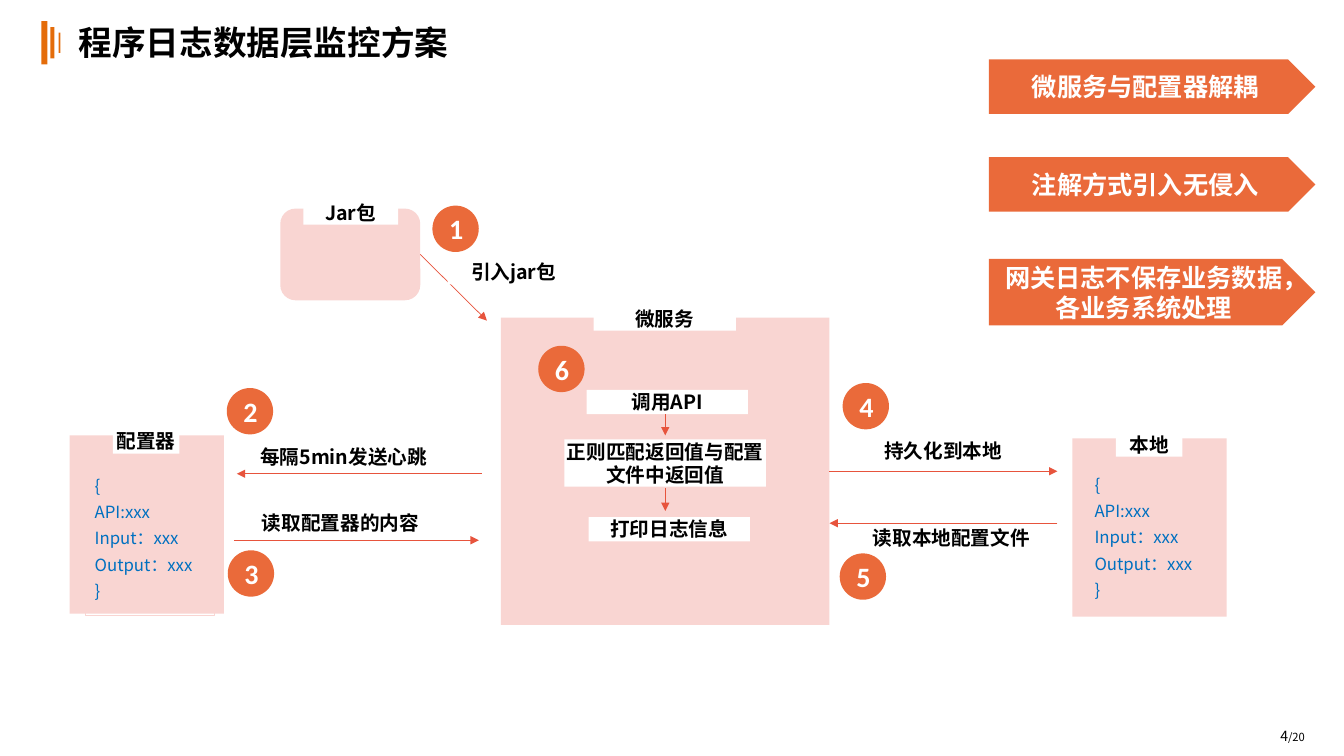
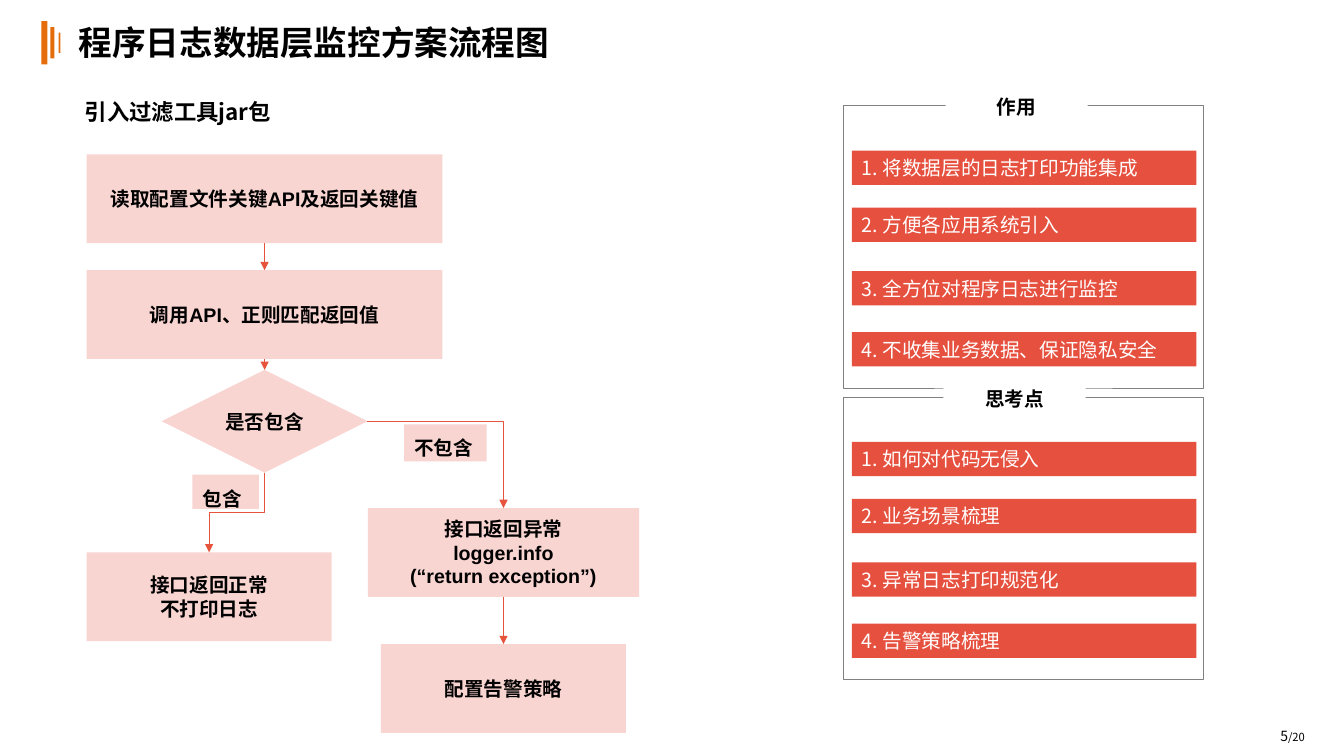
from lxml.etree import SubElement
from pptx import Presentation
from pptx.dml.color import RGBColor
from pptx.enum.shapes import MSO_CONNECTOR, MSO_SHAPE
from pptx.enum.text import MSO_ANCHOR, MSO_AUTO_SIZE, PP_ALIGN
from pptx.oxml.ns import qn
from pptx.util import Pt

COLORS = {
    "accent": "E46C0A",
    "orange": "EA6A3A",
    "pink": "F9D5D2",
    "red": "E6503E",
    "arrow": "E7543D",
    "gray": "808080",
    "blue": "0070C0",
    "black": "000000",
    "white": "FFFFFF",
}
CJK = "Noto Sans CJK SC"
LABEL_HEIGHT = 17.3
BADGE_SIZE = 33.1
PAGE_TOTAL = 20


def color(name):
    return RGBColor.from_string(COLORS[name])


class Deck:
    """Holds the shared style and the slide being built; lengths are points."""

    def __init__(self):
        self.deck = Presentation()
        self.deck.slide_width, self.deck.slide_height = Pt(960), Pt(540)
        self.page = None

    def start_page(self, title, number):
        self.page = self.deck.slides.add_slide(self.deck.slide_layouts[5])
        for left, width, height in ((29.5, 4.3, 31), (36, 2.9, 22.3), (41.8, 1.4, 14.4)):
            self.box((left, 30.6 - height / 2, width, height), "accent")
        heading = self.page.shapes.title
        heading.left, heading.top, heading.width, heading.height = map(
            Pt, (49, 15.1, 854, 33.1))
        self.set_text(heading, title, size=24, align=PP_ALIGN.LEFT, spacing=0.9)
        footer = self.text_box((892, 514.8, 62.6, 21.6), str(number), size=10, bold=False)
        total = footer.text_frame.paragraphs[0].add_run()
        total.text = f"/{PAGE_TOTAL}"
        self.style(total, CJK, 8, "black", False)

    def style(self, span, font, size, ink, bold):
        span.font.name, span.font.size, span.font.bold = font, Pt(size), bold
        span.font.color.rgb = color(ink)
        SubElement(span._r.get_or_add_rPr(), qn("a:ea"), typeface=CJK)

    def set_text(self, shape, text, font=CJK, size=14, ink="black", bold=True,
                 align=PP_ALIGN.CENTER, anchor=MSO_ANCHOR.MIDDLE, spacing=None, margin=None):
        frame = shape.text_frame
        frame.text = text
        frame.word_wrap = True
        frame.auto_size = MSO_AUTO_SIZE.NONE
        frame.vertical_anchor = anchor
        if margin is not None:
            frame.margin_left = frame.margin_right = Pt(margin)
            frame.margin_top = frame.margin_bottom = Pt(margin)
        for para in frame.paragraphs:
            para.alignment = align
            if spacing:
                para.line_spacing = spacing
            for span in para.runs:
                self.style(span, font, size, ink, bold)

    def box(self, bounds, fill=None, text=None, kind=MSO_SHAPE.RECTANGLE,
            line=None, line_width=0.5, **style):
        shape = self.page.shapes.add_shape(kind, *map(Pt, bounds))
        shape.shadow.inherit = False
        if fill:
            shape.fill.solid()
            shape.fill.fore_color.rgb = color(fill)
        else:
            shape.fill.background()
        if line:
            shape.line.color.rgb = color(line)
            shape.line.width = Pt(line_width)
        else:
            shape.line.fill.background()
        if text:
            self.set_text(shape, text, **style)
        return shape

    def text_box(self, bounds, text, **style):
        shape = self.page.shapes.add_textbox(*map(Pt, bounds))
        self.set_text(shape, text, **style)
        return shape

    def label(self, left, top, width, text, height=LABEL_HEIGHT):
        return self.box((left, top, width, height), "white", text,
                        anchor=MSO_ANCHOR.TOP, margin=0)

    def badge(self, left, top, number):
        self.box((left, top, BADGE_SIZE, BADGE_SIZE), "orange", str(number),
                 MSO_SHAPE.OVAL, font="Calibri", size=20, ink="white")

    def config_panel(self, left, top, name, code_left, code_top):
        self.box((left, top, 110.2, 127.4), "pink")
        self.label(left + 31, top - 4.3, 47.5, name)
        self.box((code_left, code_top, 92.2, 107.3), None,
                 "{\nAPI:xxx\nInput：xxx\nOutput：xxx\n}", line="pink", line_width=0.25,
                 size=12, ink="blue", bold=False, align=PP_ALIGN.LEFT,
                 anchor=MSO_ANCHOR.TOP, spacing=1.3)

    def list_panel(self, top, name, label_left, items):
        self.box((602.6, top, 257, 201.6), "white", line="gray")
        self.label(label_left, top - 7.5, 101.5, name)
        for number, (offset, item) in enumerate(zip((32, 72.7, 118, 161.7), items), 1):
            self.box((608.4, top + offset, 246.2, 24.5), "red", f"{number}. {item}",
                     ink="white", bold=False, align=PP_ALIGN.LEFT)

    def flow_box(self, left, top, width, text):
        return self.box((left, top, width, 63.4), "pink", text, font="Arial")

    def branch_label(self, bounds, text):
        self.box(bounds, "pink", text, font="Arial", align=PP_ALIGN.LEFT,
                 anchor=MSO_ANCHOR.TOP, spacing=1.3)

    def arrow(self, start, end, kind=MSO_CONNECTOR.STRAIGHT, source=None, target=None):
        """Draw an arrow; source and target are (shape, side) pairs to join."""
        line = self.page.shapes.add_connector(kind, *map(Pt, (*start, *end)))
        if source:
            line.begin_connect(*source)
        if target:
            line.end_connect(*target)
        line.line.color.rgb = color("arrow")
        line.line.width = Pt(0.5)
        properties = line._element.spPr
        SubElement(properties.find(qn("a:ln")), qn("a:tailEnd"), type="triangle")
        SubElement(properties, qn("a:effectLst"))
        return line

    def arrow_down(self, upper, lower):
        self.arrow((0, 0), (0, 0), source=(upper, 2), target=(lower, 0))

    def elbow_down_left(self, start, end):
        """Leave downwards, cross to the left, then go down: a turned elbow."""
        middle_x, middle_y = (start[0] + end[0]) / 2, (start[1] + end[1]) / 2
        half_run, half_rise = (end[1] - start[1]) / 2, (start[0] - end[0]) / 2
        line = self.arrow((middle_x - half_run, middle_y - half_rise),
                          (middle_x + half_run, middle_y + half_rise), MSO_CONNECTOR.ELBOW)
        line._element.spPr.find(qn("a:xfrm")).set("rot", "5400000")

    def elbow_right_down(self, start, end):
        line = self.arrow(start, end, MSO_CONNECTOR.ELBOW)
        line._element.spPr.find(qn("a:prstGeom")).set("prst", "bentConnector2")


def build_architecture(deck):
    deck.start_page("程序日志数据层监控方案", 4)
    service = deck.box((357.8, 226.8, 234.7, 219.6), "pink")
    deck.label(424.1, 218.9, 101.5, "微服务")
    deck.config_panel(766.1, 313.2, "本地", 774.7, 331.2)
    deck.config_panel(49.7, 311, "配置器", 60.5, 331.9)
    jar = deck.box((200.2, 149, 100, 65.5), "pink", kind=MSO_SHAPE.ROUNDED_RECTANGLE)
    deck.label(216.7, 143.3, 67.7, "Jar包")

    deck.arrow((300.2, 181.7), (347.8, 229), source=(jar, 3))
    deck.arrow((592.5, 336.6), (755.3, 336.6), source=(service, 3))
    for start, end in (
        ((344.2, 338.4), (169.2, 338.4)),
        ((167, 385.9), (342, 385.9)),
        ((755.3, 373.7), (592.5, 373.7)),
    ):
        deck.arrow(start, end)
    for left, top, width, text in (
        (319.7, 185.8, 94.3, "引入jar包"),
        (169.2, 317.5, 152.6, "每隔5min发送心跳"),
        (167, 365, 152.6, "读取配置器的内容"),
        (622, 313.2, 103.7, "持久化到本地"),
        (622, 375.8, 115.2, "读取本地配置文件"),
        (419, 278.6, 115.2, "调用API"),
        (420.5, 369.4, 115.2, "打印日志信息"),
    ):
        deck.label(left, top, width, text)
    deck.label(403.2, 313.9, 144, "正则匹配返回值与配置文件中返回值", 33.8)
    for top, bottom in ((295.9, 311), (348.5, 365)):
        deck.arrow((475.2, top), (475.2, bottom))

    badges = ((308.9, 146.9), (162, 277.2), (162.7, 393.1),
              (601.9, 273.6), (599.8, 395.3), (384.5, 247))
    for number, (left, top) in enumerate(badges, 1):
        deck.badge(left, top, number)
    for top, height, text in (
        (42.5, 38.9, "微服务与配置器解耦"),
        (112.3, 38.9, "注解方式引入无侵入"),
        (185, 47.5, "网关日志不保存业务数据，各业务系统处理"),
    ):
        deck.box((706.3, top, 233.3, height), "orange", text, MSO_SHAPE.PENTAGON,
                 font="Arial", size=18, ink="white")


def build_flowchart(deck):
    deck.start_page("程序日志数据层监控方案流程图", 5)
    deck.text_box((29.5, 68.4, 195.1, 23), "引入过滤工具jar包", size=16)
    config = deck.flow_box(61.9, 110.2, 254.2, "读取配置文件关键API及返回关键值")
    matching = deck.flow_box(61.9, 193, 254.2, "调用API、正则匹配返回值")
    decision = deck.box((115.5, 264.2, 147, 73.4), "pink", "是否包含",
                        MSO_SHAPE.DIAMOND, font="Calibri")
    deck.flow_box(61.9, 394.6, 175, "接口返回正常\n不打印日志")
    failure = deck.flow_box(262.8, 362.9, 193.7,
                            "接口返回异常\nlogger.info\n(“return exception”)")
    alert = deck.flow_box(272.15, 460.1, 175, "配置告警策略")

    for upper, lower in ((config, matching), (matching, decision), (failure, alert)):
        deck.arrow_down(upper, lower)
    deck.elbow_down_left((189, 337.6), (149.4, 394.6))
    deck.elbow_right_down((262.5, 300.9), (359.65, 362.9))
    deck.branch_label((137.5, 339.1, 47.5, 24.5), "包含")
    deck.branch_label((288.7, 303.1, 59, 26.6), "不包含")

    deck.list_panel(75.6, "作用", 675.4, (
        "将数据层的日志打印功能集成", "方便各应用系统引入",
        "全方位对程序日志进行监控", "不收集业务数据、保证隐私安全"))
    deck.list_panel(283.7, "思考点", 673.9, (
        "如何对代码无侵入", "业务场景梳理", "异常日志打印规范化", "告警策略梳理"))


def main():
    deck = Deck()
    build_architecture(deck)
    build_flowchart(deck)
    deck.deck.save("out.pptx")


if __name__ == "__main__":
    main()
